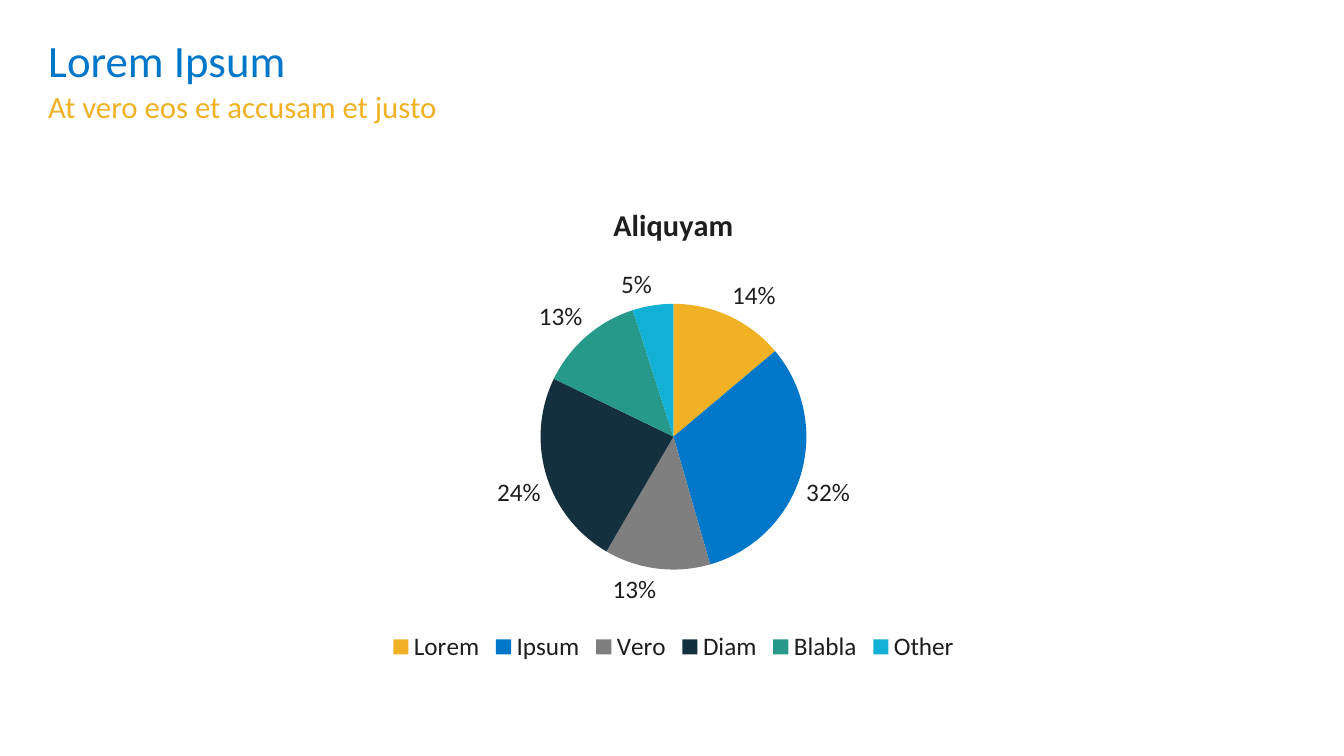
"""Build a slide with a heading, a subheading and a pie chart of shares."""
from pptx import Presentation
from pptx import util as u
from pptx.chart.data import CategoryChartData
from pptx.dml.color import RGBColor
from pptx.enum import chart as ch, text

FONT = "Calibri"
INK = "1E1E1C"


def style(font, size, colour, bold=False):
    font.name, font.size, font.bold = FONT, u.Pt(size), bold
    font.color.rgb = RGBColor.from_string(colour)


deck = Presentation()
deck.slide_width, deck.slide_height = u.Inches(13.33), u.Inches(7.5)
slide = deck.slides.add_slide(deck.slide_layouts[6])

margin = u.Inches(0.38)
headings = [
    ("Lorem Ipsum", 0.38, 32, "0077C8", text.MSO_ANCHOR.MIDDLE),
    ("At vero eos et accusam et justo", 0.86, 22, "F0B224", text.MSO_ANCHOR.TOP),
]
for wording, top, size, colour, anchor in headings:
    heading = slide.shapes.add_textbox(margin, u.Inches(top), u.Inches(10.73), u.Inches(0.48))
    frame = heading.text_frame
    frame.word_wrap = True
    frame.vertical_anchor = anchor
    frame.text = wording
    frame.paragraphs[0].line_spacing = 0.9
    style(frame.paragraphs[0].runs[0].font, size, colour)

shares = [
    ("Lorem", 0.14, "F0B224"),
    ("Ipsum", 0.32, "0077C8"),
    ("Vero", 0.13, "7F7F7F"),
    ("Diam", 0.24, "14303F"),
    ("Blabla", 0.13, "26998A"),
    ("Other", 0.05, "12B0D4"),
]
share_data = CategoryChartData(number_format="0%")
share_data.categories = [name for name, _, _ in shares]
share_data.add_series("Aliquyam", [share for _, share, _ in shares])
pie = slide.shapes.add_chart(
    ch.XL_CHART_TYPE.PIE, margin, u.Inches(1.82), u.Inches(12.6), u.Inches(4.8), share_data
).chart
style(pie.font, 18, INK)

pie.has_title = True
pie.chart_title.include_in_layout = False
pie.chart_title.text_frame.text = "Aliquyam"
style(pie.chart_title.text_frame.paragraphs[0].runs[0].font, 21.6, INK, bold=True)

pie.has_legend = True
pie.legend.position = ch.XL_LEGEND_POSITION.BOTTOM
pie.legend.include_in_layout = False
style(pie.legend.font, 18, INK)

plot = pie.plots[0]
plot.vary_by_categories = True
plot.has_data_labels = True
labels = plot.data_labels
labels.show_value, labels.show_percentage = True, False
labels.number_format, labels.number_format_is_linked = "0%", False
labels.position = ch.XL_LABEL_POSITION.OUTSIDE_END
style(labels.font, 18, INK)

for index, (_, _, colour) in enumerate(shares):
    wedge = plot.series[0].points[index].format
    wedge.fill.solid()
    wedge.fill.fore_color.rgb = RGBColor.from_string(colour)
    wedge.line.fill.background()

deck.save("out.pptx")
